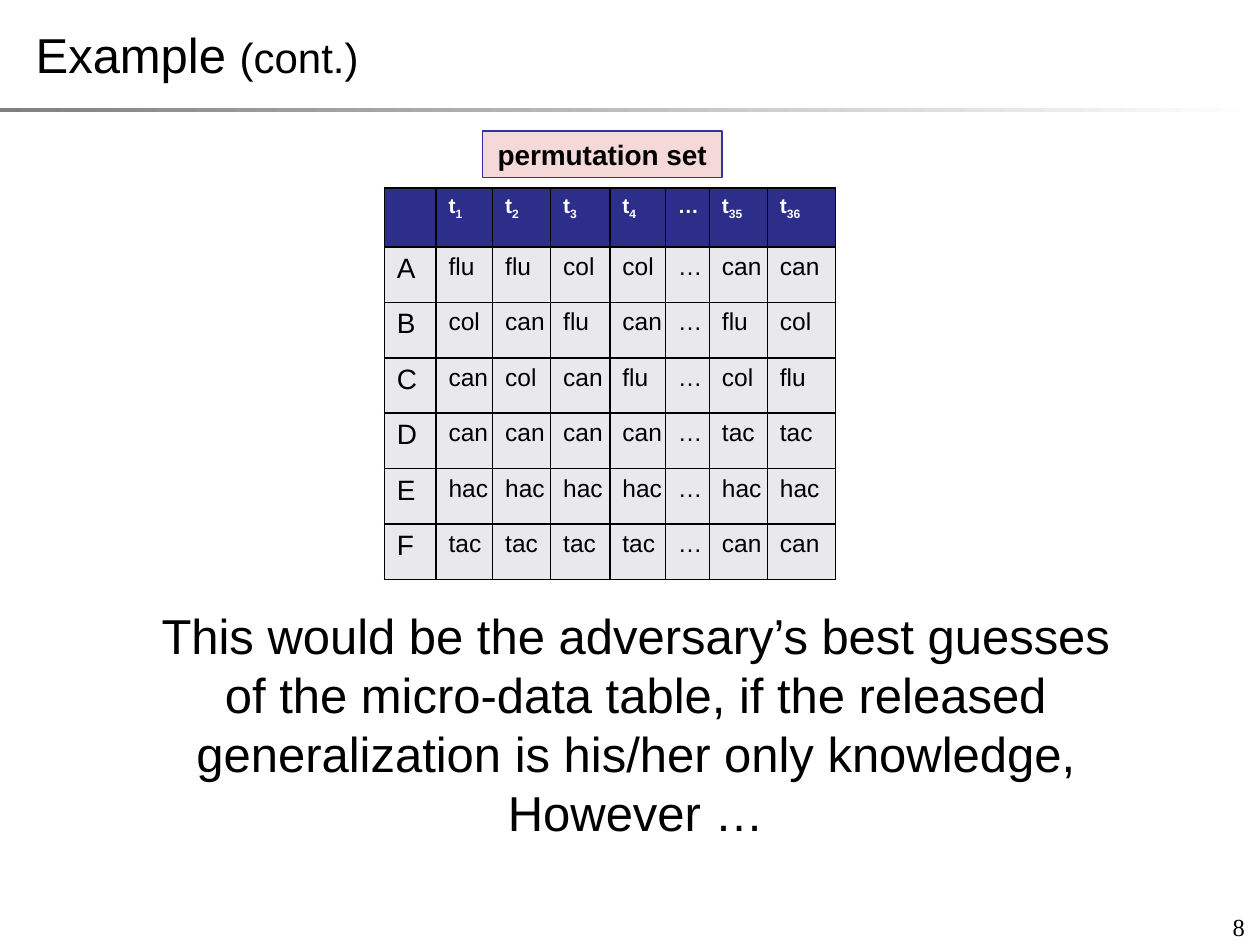
from lxml.etree import SubElement
from pptx import Presentation
from pptx.dml.color import RGBColor
from pptx.enum.shapes import MSO_SHAPE
from pptx.enum.text import MSO_ANCHOR, MSO_AUTO_SIZE, PP_ALIGN
from pptx.oxml.ns import qn
from pptx.util import Inches, Pt

NAVY, PALE, BLACK, WHITE = "2D2D8A", "E8E8ED", "000000", "FFFFFF"
HEADER_HEIGHT, ROW_HEIGHT = 0.47, 0.44
TABLE_TOP = 1.49

# left edge, column widths, columns (header first; "t_1" marks a subscript)
TABLES = [
    (3.05, [0.41, 0.54], ["| A B C D E F", "t_1 flu col can can hac tac"]),
    (3.91, [0.54], ["t_2 flu can col can hac tac"]),
    (4.37, [0.54], ["t_3 col flu can can hac tac"]),
    (4.84, [0.54], ["t_4 col can flu can hac tac"]),
    (5.28, [0.42], ["… … … … … … …"]),
    (5.63, [0.54], ["t_35 can flu col tac hac can"]),
    (6.09, [0.54], ["t_36 can col flu tac hac can"]),
]


def rgb(color):
    return RGBColor.from_string(color)


class SlideBuilder:
    font = "Arial"
    border_width = 1

    def __init__(self, slide):
        self.s = slide

    def add_run(self, p, text, size, color=BLACK, baseline=None, **style):
        r = p.add_run()
        r.text = text
        values = {"name": self.font, "size": Pt(size), "bold": False, **style}
        for name, value in values.items():
            setattr(r.font, name, value)
        r.font.color.rgb = rgb(color)
        if baseline:
            r.font._element.set("baseline", str(baseline * 1000))

    def frame(self, sp, align):
        """Prepare the text frame of a shape and return its first paragraph."""
        tf = sp.text_frame
        values = {"word_wrap": True, "auto_size": MSO_AUTO_SIZE.NONE,
                  "vertical_anchor": MSO_ANCHOR.MIDDLE}
        for name, value in values.items():
            setattr(tf, name, value)
        p = tf.paragraphs[0]
        p.alignment = align
        return p

    def title(self, box, lines, size):
        sp = self.s.shapes.title
        for name, value in zip(("left", "top", "width", "height"), box):
            setattr(sp, name, Inches(value))
        p = self.frame(sp, PP_ALIGN.CENTER)
        for i, line in enumerate(lines):
            if i:
                p.add_line_break()
            self.add_run(p, line, size)

    def text(self, box, runs, align=PP_ALIGN.CENTER, **style):
        sp = self.s.shapes.add_textbox(*map(Inches, box))
        p = self.frame(sp, align)
        for text, size in runs:
            self.add_run(p, text, size, **style)

    def rectangle(self, box):
        sp = self.s.shapes.add_shape(MSO_SHAPE.RECTANGLE, *map(Inches, box))
        sp.shadow.inherit = False
        return sp

    def rule(self, box, start, end):
        sp = self.rectangle(box)
        sp.line.fill.background()
        sp.fill.gradient()
        sp.fill.gradient_angle = 0
        for stop, color, position in zip(sp.fill.gradient_stops, (start, end), (0, 1)):
            stop.color.rgb = rgb(color)
            stop.position = position

    def label(self, box, text, size, fill, opacity, line):
        sp = self.rectangle(box)
        sp.fill.solid()
        sp.fill.fore_color.rgb = rgb(fill)
        color = sp._element.spPr.find(qn("a:solidFill"))[0]
        SubElement(color, qn("a:alpha"), val=str(opacity * 1000))
        sp.line.color.rgb = rgb(line)
        sp.line.width = Pt(0)
        self.add_run(self.frame(sp, PP_ALIGN.CENTER), text, size, bold=True)

    def borders(self, cell):
        tcPr = cell._tc.get_or_add_tcPr()
        for i, side in enumerate(("lnL", "lnR", "lnT", "lnB")):
            ln = tcPr.makeelement(qn(f"a:{side}"), {"w": str(Pt(self.border_width))})
            fill = SubElement(ln, qn("a:solidFill"))
            SubElement(fill, qn("a:srgbClr"), val=BLACK)
            tcPr.insert(i, ln)

    def cell(self, cell, text, header, row_name):
        cell.fill.solid()
        cell.fill.fore_color.rgb = rgb(NAVY if header else PALE)
        self.borders(cell)
        p = cell.text_frame.paragraphs[0]
        if header:
            style = {"size": 12, "color": WHITE, "bold": True}
        else:
            style = {"size": 16 if row_name else 14}
        base, _, subscript = text.partition("_")
        if base != "|":
            self.add_run(p, base, **style)
        if subscript:
            self.add_run(p, subscript, baseline=-25, **style)

    def table(self, left, widths, columns):
        columns = [column.split() for column in columns]
        heights = [HEADER_HEIGHT] + [ROW_HEIGHT] * (len(columns[0]) - 1)
        box = (left, TABLE_TOP, sum(widths), sum(heights))
        table = self.s.shapes.add_table(len(heights), len(widths), *map(Inches, box)).table
        for row, height in zip(table.rows, heights):
            row.height = Inches(height)
        for c, (width, values) in enumerate(zip(widths, columns)):
            table.columns[c].width = Inches(width)
            for i, value in enumerate(values):
                self.cell(table.cell(i, c), value, i == 0, values[0] == "|")


def main():
    prs = Presentation()
    prs.slide_width, prs.slide_height = Inches(10), Inches(7.5)
    b = SlideBuilder(prs.slides.add_slide(prs.slide_layouts[5]))

    b.rule((0, 0.86, 10, 0.03), "808080", WHITE)
    b.title((1.02, 4.53, 8.05, 2.42),
            ["This would be the adversary’s best guesses of the micro-data table, "
             "if the released generalization is his/her only knowledge,",
             "However …"], 28)
    b.text((7.65, 7.18, 2.33, 0.35), [("8", 14)], PP_ALIGN.RIGHT, name="Times New Roman")
    for left, widths, columns in TABLES:
        b.table(left, widths, columns)
    b.label((3.83, 1.04, 1.9, 0.37), "permutation set", 16, "C00000", 15, "333399")
    b.text((0, 0, 3.13, 0.86), [("Example ", 28), ("(cont.)", 24)])

    prs.save("out.pptx")


if __name__ == "__main__":
    main()
